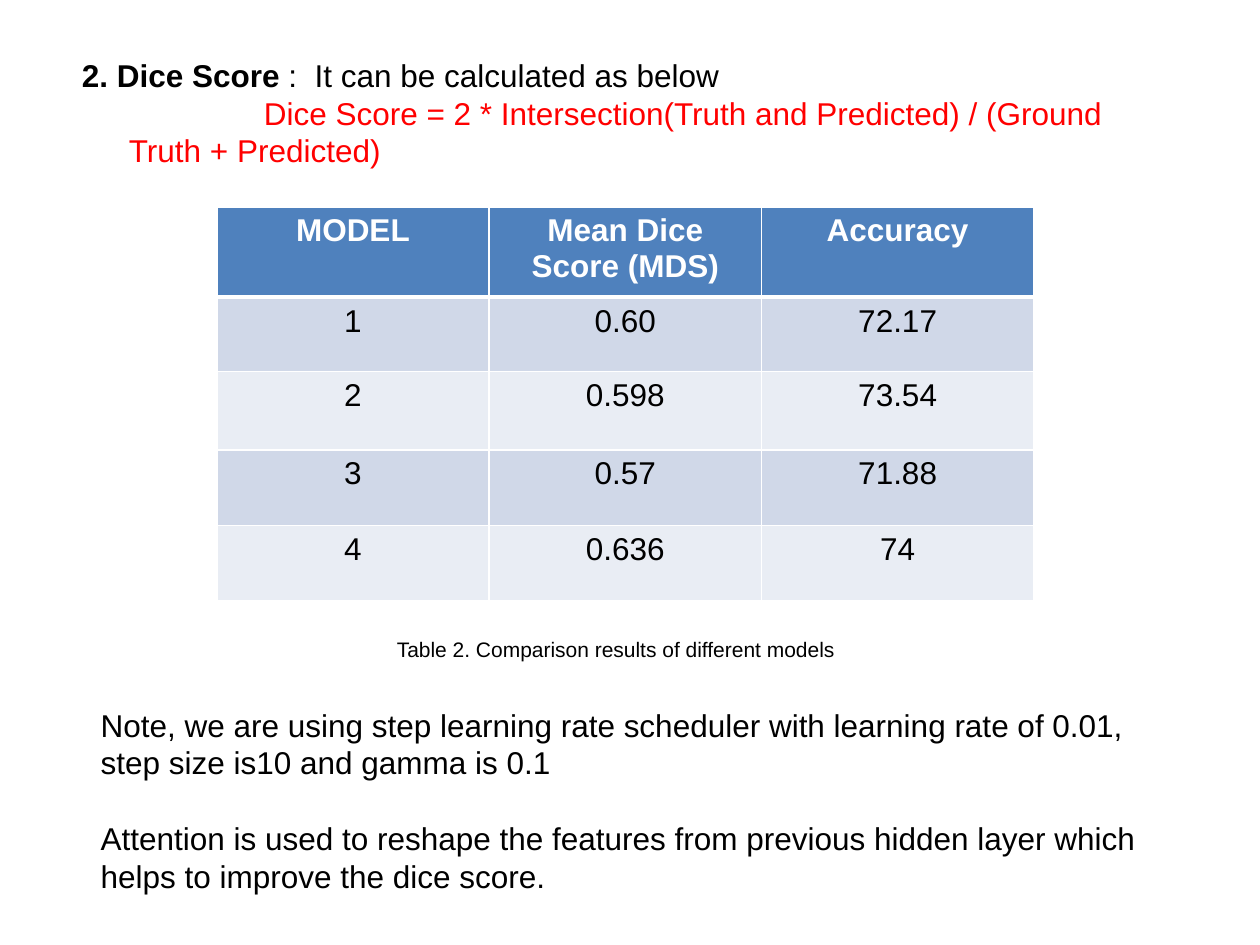
from lxml import etree
from pptx import Presentation
from pptx.dml.color import RGBColor
from pptx.enum import text
from pptx.oxml import ns
from pptx.util import Cm, Pt

prs = Presentation()
prs.slide_width, prs.slide_height = Cm(25.4), Cm(19.05)
s = prs.slides.add_slide(prs.slide_layouts[6])


def add_run(p, words, size=18, color="000000", bold=False):
    r = p.add_run()
    r.text = words
    r.font.name = "Arial"
    r.font.size = Pt(size)
    r.font.bold = bold
    r.font.color.rgb = RGBColor.from_string(color)


def add_box(left, top, width, height):
    tf = s.shapes.add_textbox(Cm(left), Cm(top), Cm(width), Cm(height)).text_frame
    tf.word_wrap = True
    return tf


tf = add_box(1.4, 1, 22.43, 2.57)
p = tf.paragraphs[0]
add_run(p, "2. Dice Score ", bold=True)
add_run(p, ":  It can be calculated as below")
formula = tf.add_paragraph()
add_run(formula, "Dice Score = 2 * Intersection(Truth and Predicted) / (Ground Truth + Predicted)", color="FF0000")
for p, indent in ((p, -0.95), (formula, 2.72)):
    pPr = p._p.get_or_add_pPr()
    pPr.set("marL", str(Cm(0.95)))
    pPr.set("indent", str(Cm(indent)))

rows = [
    ("MODEL", "Mean Dice Score (MDS)", "Accuracy"),
    ("1", "0.60", "72.17"),
    ("2", "0.598", "73.54"),
    ("3", "0.57", "71.88"),
    ("4", "0.636", "74"),
]
heights = [1.82, 1.5, 1.58, 1.52, 1.52]
table = s.shapes.add_table(5, 3, Cm(4.37), Cm(4.17), Cm(16.46), Cm(sum(heights))).table
for col in table.columns:
    col.width = Cm(5.49)
for i, (row, height) in enumerate(zip(rows, heights)):
    table.rows[i].height = Cm(height)
    for j, value in enumerate(row):
        cell = table.cell(i, j)
        p = cell.text_frame.paragraphs[0]
        p.alignment = text.PP_ALIGN.CENTER
        add_run(p, value, color="000000" if i else "FFFFFF", bold=i == 0)
        tcPr = cell._tc.get_or_add_tcPr()
        for side in ("lnL", "lnR", "lnT", "lnB"):
            thick = (i, side) in ((0, "lnB"), (1, "lnT"))
            ln = etree.SubElement(tcPr, ns.qn("a:" + side), w=str(Pt(3 if thick else 1)))
            fill = etree.SubElement(ln, ns.qn("a:solidFill"))
            etree.SubElement(fill, ns.qn("a:srgbClr"), val="FFFFFF")
        cell.fill.solid()
        color = "4F81BD" if i == 0 else "D0D8E8" if i % 2 else "E9EDF4"
        cell.fill.fore_color.rgb = RGBColor.from_string(color)

tf = add_box(7.75, 12.7, 10.31, 0.76)
add_run(tf.paragraphs[0], "Table 2. Comparison results of different models", size=12)

tf = add_box(1.78, 14.1, 21.82, 4.11)
p = tf.paragraphs[0]
p.space_after = Pt(21.6)
add_run(p, "Note, we are using step learning rate scheduler with learning rate of 0.01, step size is10 and gamma is 0.1")
add_run(tf.add_paragraph(), "Attention is used to reshape the features from previous hidden layer which helps to improve the dice score.")

prs.save("out.pptx")
